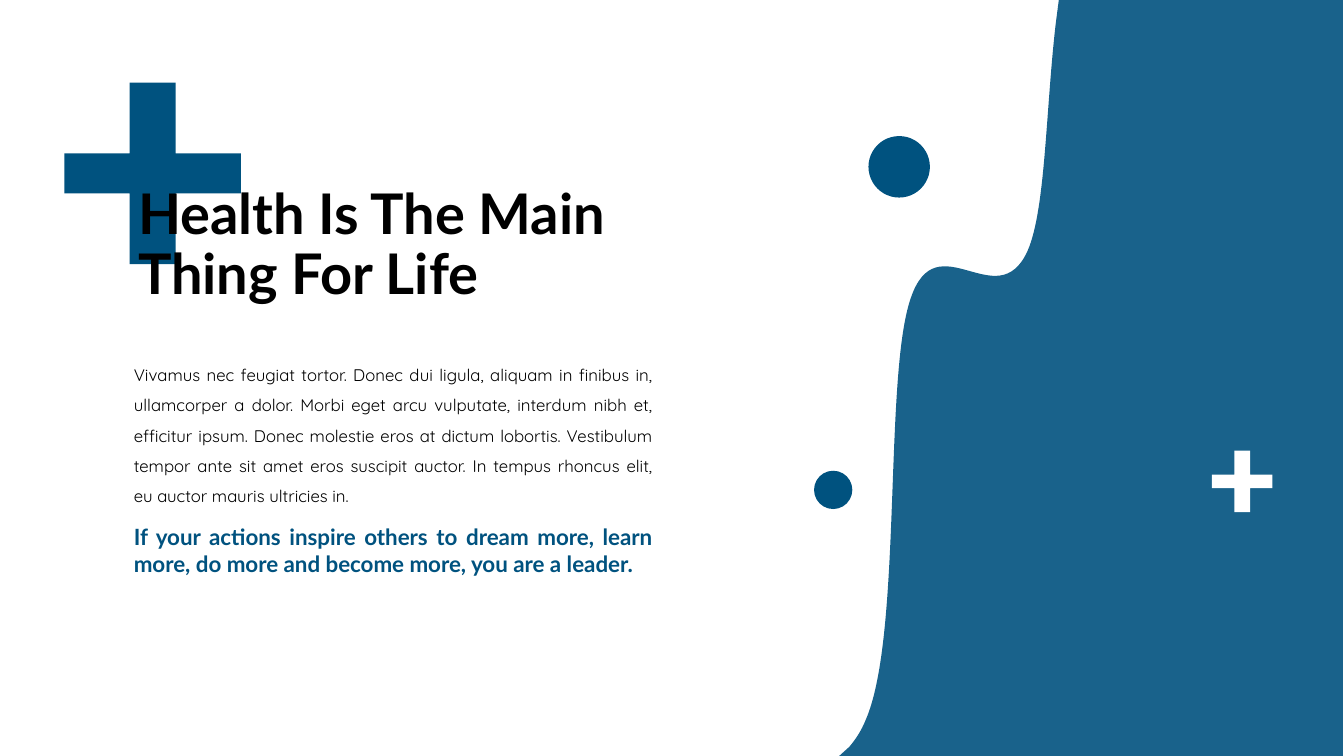
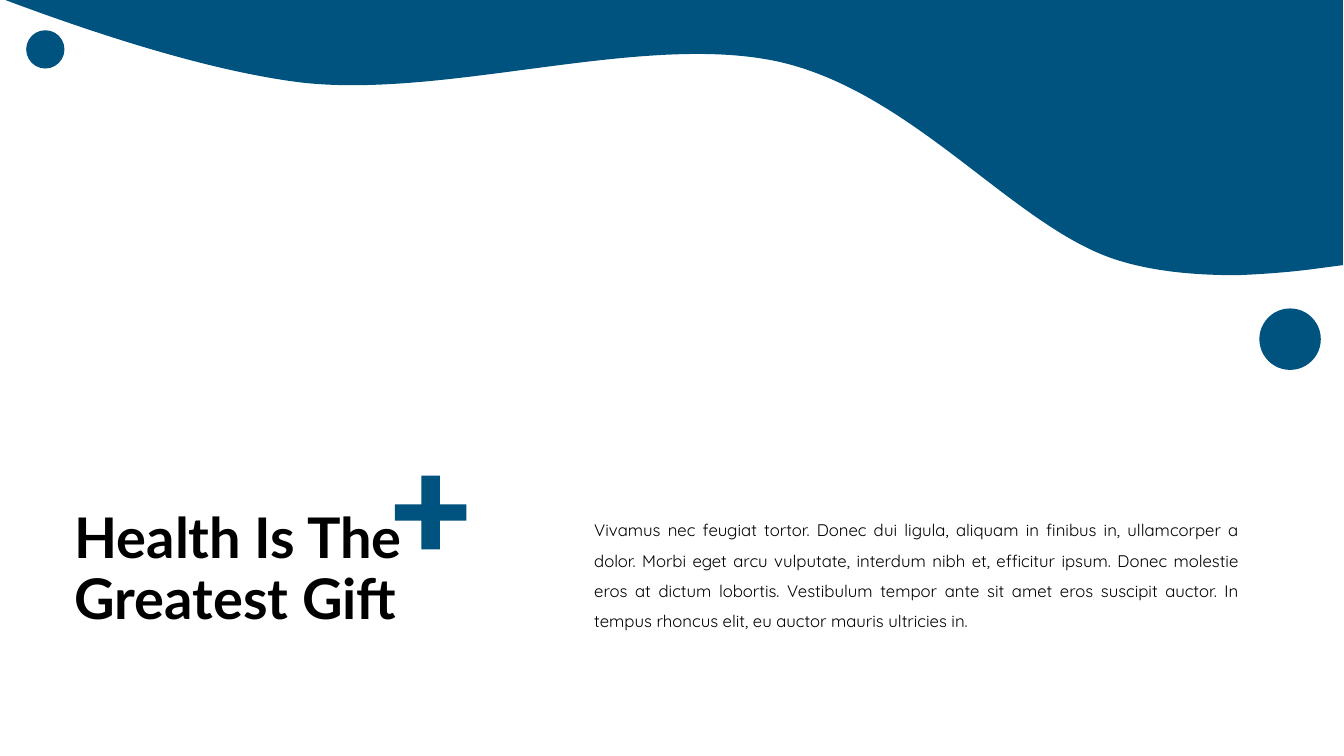
from dataclasses import dataclass
from typing import Optional

from lxml.etree import SubElement
from pptx import Presentation
from pptx.dml.color import RGBColor as Rgb
from pptx.enum.shapes import MSO_SHAPE as Shape
from pptx.enum.text import MSO_ANCHOR as Anchor
from pptx.enum.text import MSO_AUTO_SIZE as Fit
from pptx.enum.text import PP_ALIGN as Align
from pptx.oxml.ns import qn
from pptx.util import Pt

PX = 9144  # 100 px to the inch
WIDTH, HEIGHT = 1334, 750
TITLE_ONLY = 5

Point = tuple[float, float]


# Colours and type
@dataclass(frozen=True)
class Style:
    font: str
    size: int
    color: Rgb
    bold: bool
    align: Align
    lead: float


@dataclass(frozen=True)
class Theme:
    blue: Rgb = Rgb(0x00, 0x52, 0x7F)
    white: Rgb = Rgb(255, 255, 255)
    black: Rgb = Rgb(0, 0, 0)

    @property
    def title(self) -> Style:
        return Style("Lato", 40, self.black, True, Align.LEFT, 0.9)

    @property
    def body(self) -> Style:
        return Style("Quicksand", 12, self.black, False, Align.JUSTIFY, 1.5)

    @property
    def quote(self) -> Style:
        return Style("Lato", 16, self.blue, True, Align.JUSTIFY, 1.0)


THEME = Theme()


# Parts of a slide
@dataclass(frozen=True)
class Box:
    x: int
    y: int
    w: int
    h: int

    def emu(self) -> tuple[int, int, int, int]:
        return self.x * PX, self.y * PX, self.w * PX, self.h * PX


@dataclass(frozen=True)
class Wave:
    start: tuple[int, int]
    steps: list[tuple[int, ...]]  # 2 numbers: line, 6 numbers: cubic curve
    alpha: Optional[int] = None


@dataclass(frozen=True)
class Dot:
    x: int
    y: int
    size: int


@dataclass(frozen=True)
class Plus:
    box: Box
    color: Rgb = THEME.blue


@dataclass(frozen=True)
class Text:
    box: Box
    words: str
    style: Style


@dataclass(frozen=True)
class Page:
    wave: Wave
    dots: list[Dot]
    pluses: list[Plus]
    title: Text
    texts: list[Text]


# Drawing
def paint(shape, color: Rgb, alpha: Optional[int] = None) -> None:
    shape.shadow.inherit = False
    shape.fill.solid()
    shape.fill.fore_color.rgb = color
    shape.line.fill.background()
    if alpha is not None:
        tone = shape._element.spPr.find(qn("a:solidFill"))[0]
        SubElement(tone, qn("a:alpha")).set("val", str(alpha * 1000))


def outline(slide, points: list[Point]):
    first, *rest = [(round(x * PX), round(y * PX)) for x, y in points]
    pen = slide.shapes.build_freeform(*first)
    pen.add_line_segments(rest, close=True)
    return pen.convert_to_shape()


def bend(shape, line, step: tuple[int, ...]) -> None:
    """Turn one straight piece of an outline into a cubic curve."""
    line.tag = qn("a:cubicBezTo")
    line.remove(line[0])
    for x, y in zip(step[::2], step[1::2]):
        knot = SubElement(line, qn("a:pt"))
        knot.set("x", str(x * PX - shape.left))
        knot.set("y", str(y * PX - shape.top))


def draw_wave(slide, wave: Wave) -> None:
    shape = outline(slide, [wave.start, *(step[-2:] for step in wave.steps)])
    lines = list(shape._element.iter(qn("a:lnTo")))
    for line, step in zip(lines, wave.steps):
        if len(step) == 6:
            bend(shape, line, step)
    paint(shape, THEME.blue, wave.alpha)


def draw_dot(slide, dot: Dot) -> None:
    box = Box(dot.x, dot.y, dot.size, dot.size)
    paint(slide.shapes.add_shape(Shape.OVAL, *box.emu()), THEME.blue)


def draw_plus(slide, plus: Plus) -> None:
    box = plus.box
    dx, dy = box.w * 0.37, box.h * 0.39  # corner cut-outs
    x0, x1, x2, x3 = box.x, box.x + dx, box.x + box.w - dx, box.x + box.w
    y0, y1, y2, y3 = box.y, box.y + dy, box.y + box.h - dy, box.y + box.h
    points = [(x1, y0), (x2, y0), (x2, y1), (x3, y1), (x3, y2), (x2, y2),
              (x2, y3), (x1, y3), (x1, y2), (x0, y2), (x0, y1), (x1, y1)]
    paint(outline(slide, points), plus.color)


def write(shape, text: Text, fit: Fit) -> None:
    style, frame = text.style, shape.text_frame
    frame.word_wrap = True
    frame.auto_size = fit
    frame.text = text.words
    para = frame.paragraphs[0]
    para.alignment = style.align
    para.line_spacing = style.lead
    para.font.name = style.font
    para.font.size = Pt(style.size)
    para.font.bold = style.bold
    para.font.color.rgb = style.color


def draw_title(slide, text: Text) -> None:
    title = slide.shapes.title
    title.left, title.top, title.width, title.height = text.box.emu()
    write(title, text, Fit.NONE)
    title.text_frame.vertical_anchor = Anchor.MIDDLE
    slide.shapes._spTree.append(title._element)  # bring to front


def draw_page(deck, page: Page) -> None:
    slide = deck.slides.add_slide(deck.slide_layouts[TITLE_ONLY])
    draw_wave(slide, page.wave)
    for plus in page.pluses:
        draw_plus(slide, plus)
    for text in page.texts:
        write(slide.shapes.add_textbox(*text.box.emu()), text,
              Fit.SHAPE_TO_FIT_TEXT)
    for dot in page.dots:
        draw_dot(slide, dot)
    draw_title(slide, page.title)


# Content
LOREM = (
    "Vivamus nec feugiat tortor. Donec dui ligula, aliquam in finibus in, "
    "ullamcorper a dolor. Morbi eget arcu vulputate, interdum nibh et, "
    "efficitur ipsum. Donec molestie eros at dictum lobortis. Vestibulum "
    "tempor ante sit amet eros suscipit auctor. In tempus rhoncus elit, "
    "eu auctor mauris ultricies in."
)
QUOTE = ("If your actions inspire others to dream more, learn more, "
         "do more and become more, you are a leader.")
BIG, SMALL = 61, 38  # dot sizes
EDGE = 1333  # right side of the waves

PAGES = [
    Page(
        wave=Wave((1051, 0), [
            (EDGE, 0), (EDGE, HEIGHT), (833, HEIGHT), (843, 741),
            (849, 734, 855, 725, 859, 715),
            (896, 632, 877, 374, 904, 296),
            (930, 219, 990, 315, 1020, 249),
            (1038, 208, 1038, 108, 1048, 23),
        ], alpha=90),
        dots=[Dot(808, 467, SMALL), Dot(862, 135, BIG)],
        pluses=[Plus(Box(64, 82, 175, 180)),
                Plus(Box(1203, 447, 60, 61), THEME.white)],
        title=Text(Box(127, 172, 509, 145),
                   "Health Is The Main Thing For Life", THEME.title),
        texts=[Text(Box(123, 347, 535, 160), LOREM, THEME.body),
               Text(Box(123, 514, 535, 64), QUOTE, THEME.quote)],
    ),
    Page(
        wave=Wave((1228, 273), [
            (1254, 272, 1280, 270, 1303, 267),
            (EDGE, 263), (EDGE, -2), (0, -2), (16, 4),
            (100, 35, 210, 71, 300, 82),
            (445, 98, 637, 32, 772, 61),
            (907, 91, 1007, 226, 1109, 258),
            (1147, 270, 1189, 273, 1228, 273),
        ]),
        dots=[Dot(1250, 306, BIG), Dot(26, 30, SMALL)],
        pluses=[Plus(Box(392, 472, 71, 73))],
        title=Text(Box(64, 494, 509, 145),
                   "Health Is The Greatest Gift", THEME.title),
        texts=[Text(Box(580, 501, 660, 130), LOREM, THEME.body)],
    ),
]


def main() -> None:
    deck = Presentation()
    deck.slide_width, deck.slide_height = WIDTH * PX, HEIGHT * PX
    for page in PAGES:
        draw_page(deck, page)
    deck.save("out.pptx")


if __name__ == "__main__":
    main()
